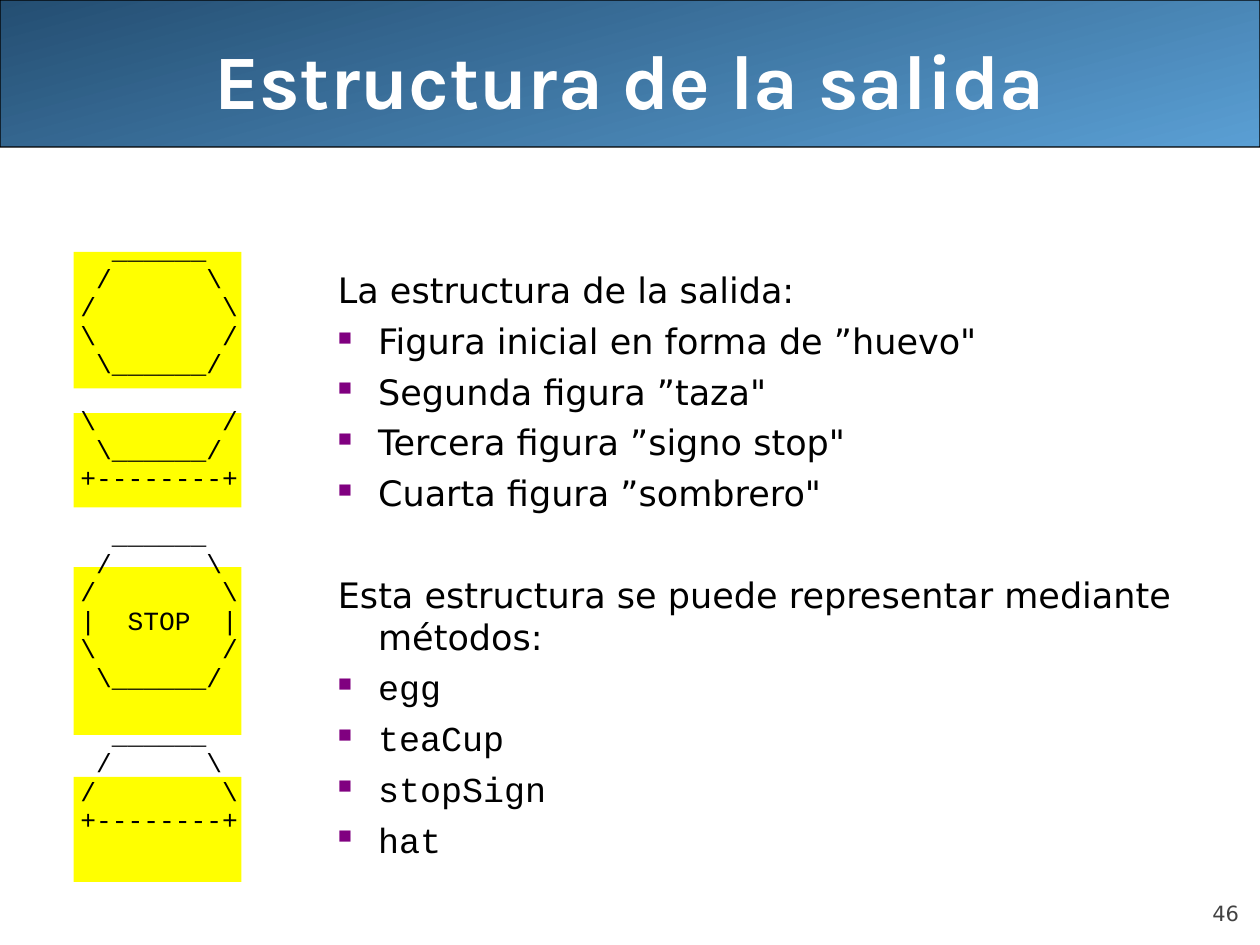
from pptx import Presentation
from pptx.dml.color import RGBColor
from pptx.enum.shapes import MSO_SHAPE
from pptx.enum.text import MSO_ANCHOR, PP_ALIGN
from pptx.oxml import parse_xml
from pptx.oxml.ns import nsdecls
from pptx.util import Pt

RECTANGLE, ROUNDED = MSO_SHAPE.RECTANGLE, MSO_SHAPE.ROUNDED_RECTANGLE
TOP, MIDDLE, BOTTOM = MSO_ANCHOR.TOP, MSO_ANCHOR.MIDDLE, MSO_ANCHOR.BOTTOM
LEFT, CENTER, RIGHT = PP_ALIGN.LEFT, PP_ALIGN.CENTER, PP_ALIGN.RIGHT

COLORS = {
    "light_blue": "5A9FD4", "dark_blue": "244E72", "black": "000000",
    "white": "FFFFFF", "yellow": "FFFF00", "purple": "800080", "gray": "424242",
}
SANS, MONO, HEADING = "DejaVu Sans", "Courier New", "Karla"

TITLE = "Estructura de la salida"
PAGE_NUMBER = "46"
FIGURES = [
    ["  ______", " /      \\", "/        \\", "\\        /", " \\______/"],
    ["\\        /", " \\______/", "+--------+"],
    ["  ______", " /      \\", "/        \\", "|  STOP  |", "\\        /", " \\______/"],
    ["  ______", " /      \\", "/        \\", "+--------+"],
]
PANELS = [(144, 78), (236, 54), (324, 96), (444, 60)]
SECTIONS = [
    ("La estructura de la salida:", SANS, [
        "Figura inicial en forma de ”huevo\"", "Segunda figura ”taza\"",
        "Tercera figura ”signo stop\"", "Cuarta figura ”sombrero\""]),
    ("Esta estructura se puede representar mediante métodos:", MONO, [
        "egg", "teaCup", "stopSign", "hat"]),
]
ROW_PITCH = 16.3
SECTION_GAP = 34
INDENT = 23


def color(name):
    return RGBColor.from_string(COLORS[name])


def add_text_frame(left, top, width, height, anchor=TOP, inset_x=0, inset_y=0):
    frame = slide.shapes.add_textbox(Pt(left), Pt(top), Pt(width), Pt(height)).text_frame
    frame.word_wrap = True
    frame.vertical_anchor = anchor
    frame.margin_left = frame.margin_right = Pt(inset_x)
    frame.margin_top = frame.margin_bottom = Pt(inset_y)
    return frame


def add_line(frame, text, font, size, tone="black", align=LEFT, bold=False, before=0):
    first = frame.paragraphs[0]
    line = frame.add_paragraph() if first.runs else first
    line.add_run().text = text
    line.alignment = align
    line.space_before = Pt(before)
    line.font.name, line.font.size, line.font.bold = font, Pt(size), bold
    line.font.color.rgb = color(tone)
    return line


def hang(line, bullet):
    props = line._p.get_or_add_pPr()
    props.set("marL", str(Pt(INDENT)))
    props.set("indent", str(Pt(-INDENT)))
    marks = [f'<a:buClr {nsdecls("a")}><a:srgbClr val="{COLORS["purple"]}"/></a:buClr>',
             f'<a:buSzPct {nsdecls("a")} val="55000"/>',
             f'<a:buChar {nsdecls("a")} char="■"/>'] if bullet else [f'<a:buNone {nsdecls("a")}/>']
    place = props.index(props.find("{*}defRPr"))
    for offset, mark in enumerate(marks):
        props.insert(place + offset, parse_xml(mark))


prs = Presentation()
prs.slide_width, prs.slide_height = Pt(720), Pt(540)
slide = prs.slides.add_slide(prs.slide_layouts[6])

banner = slide.shapes.add_shape(ROUNDED, 0, 0, Pt(720), Pt(84))
banner.adjustments[0] = 0.001
banner.shadow.inherit = False
banner.fill.gradient()
banner.fill.gradient_angle = 105
for stop, tone in zip(banner.fill.gradient_stops, ("light_blue", "dark_blue")):
    stop.color.rgb = color(tone)
banner.line.color.rgb = color("black")
banner.line.width = Pt(0.75)

page = add_text_frame(648, 500.5, 60, 28.5, BOTTOM)
add_line(page, PAGE_NUMBER, SANS, 12, "gray", RIGHT)

for top, height in reversed(PANELS):
    panel = slide.shapes.add_shape(RECTANGLE, Pt(42), Pt(top), Pt(96), Pt(height))
    panel.shadow.inherit = False
    panel.fill.solid()
    panel.fill.fore_color.rgb = color("yellow")
    panel.line.fill.background()

title = add_text_frame(36, 0, 648, 90, MIDDLE, 7.2, 3.6)
add_line(title, TITLE, HEADING, 44, "white", CENTER, True)

drawing = add_text_frame(46, 135, 100, 21 * ROW_PITCH)
for figure_index, figure in enumerate(FIGURES):
    for row_index, row in enumerate(figure):
        starts_later_figure = figure_index and not row_index
        line = add_line(drawing, row, MONO, 15, before=ROW_PITCH if starts_later_figure else 0)
        line.line_spacing = Pt(ROW_PITCH)

outline = add_text_frame(186, 150, 510, 345.5, TOP, 7.2, 3.6)
for section_index, (heading, item_font, items) in enumerate(SECTIONS):
    hang(add_line(outline, heading, SANS, 20, before=SECTION_GAP if section_index else 5), False)
    for item in items:
        hang(add_line(outline, item, item_font, 20, before=5), True)

prs.save("out.pptx")
